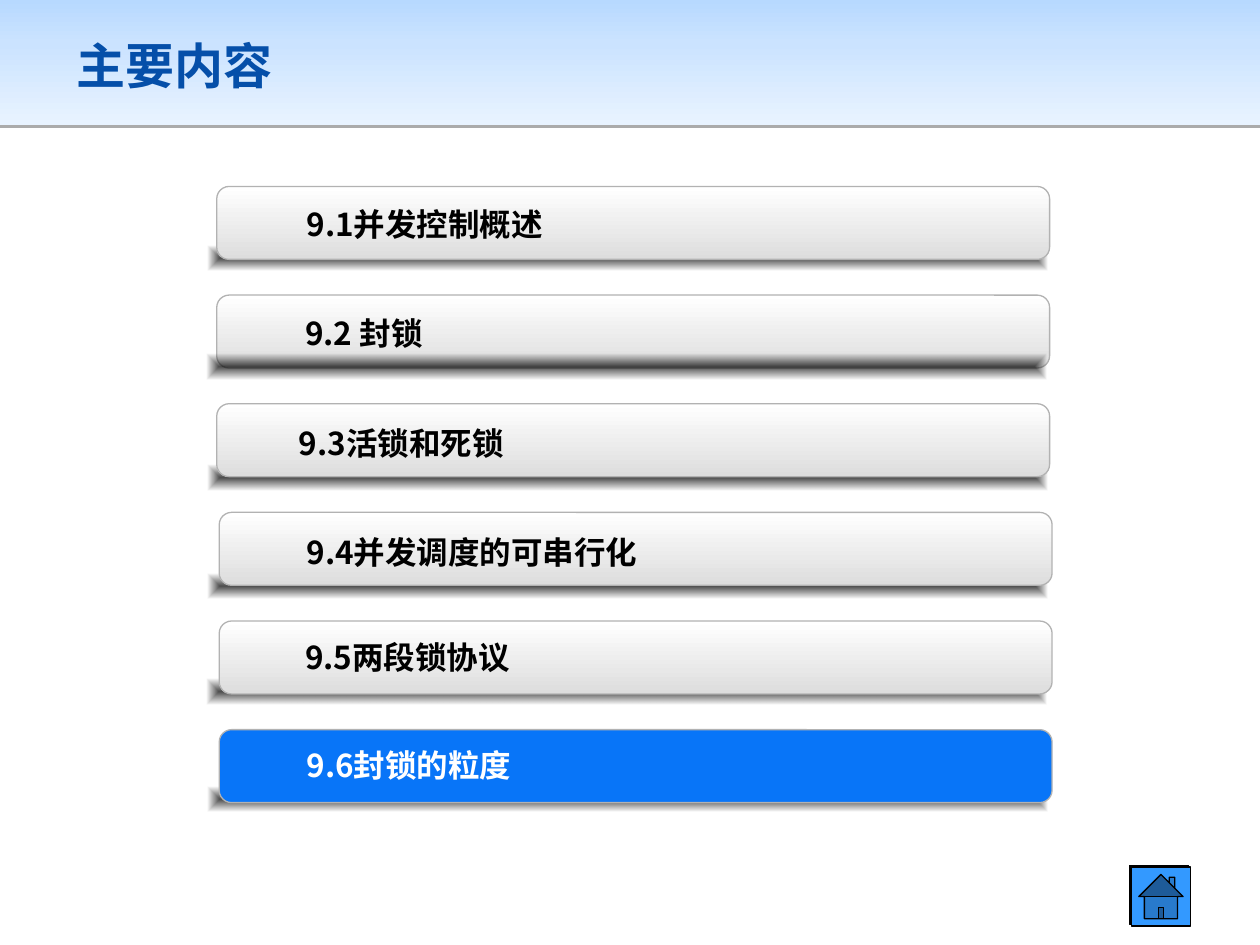
from dataclasses import dataclass

from lxml import etree
from pptx import Presentation
from pptx import util as u
from pptx.dml.color import RGBColor
from pptx.enum import shapes, text
from pptx.oxml import ns


@dataclass(frozen=True)
class Theme:
    latin: str = "Arial"
    chinese: str = "Noto Sans CJK SC"
    title_size: int = 28
    item_size: int = 18
    title: str = "054FA9"
    item: str = "000000"
    active_item: str = "FFFFFF"
    active_bar: str = "0875F8"
    border: str = "B2B2B2"
    button: str = "3399FF"
    black: str = "000000"
    # Gradient stops: position, colour, opacity in percent
    header: tuple = ((0, "B7D9FF", 100), (35, "CBE3FF", 100), (100, "E8F3FF", 100))
    bar: tuple = ((0, "FFFFFF", 100), (100, "DDDDDD", 100))
    glow: tuple = ((0, "000000", 70), (100, "000000", 0))


THEME = Theme()
SHAPE = shapes.MSO_SHAPE
FIRST_TOP, PITCH, BAR_HEIGHT = 3.76, 2.19, 1.47

# Label, bar left, shadow left, shadow offset, label left, label offset, left inset
ITEMS = (
    ("9.1并发控制概述", 4.37, 4.19, 1.19, 4.5, 0.02, 0.41),
    ("9.2 封锁", 4.37, 4.17, 1.19, 4.47, 0.02, 0.41),
    ("9.3活锁和死锁", 4.37, 4.19, 1.23, 4.5, 0.06, 0.25),
    ("9.4并发调度的可串行化", 4.42, 4.19, 1.23, 4.5, 0.06, 0.41),
    ("9.5两段锁协议", 4.42, 4.17, 1.17, 4.47, -0.02, 0.41),
    ("9.6封锁的粒度", 4.42, 4.19, 1.14, 4.5, -0.03, 0.41),
)
SHADOW_ABOVE = 1
ACTIVE = 5


def set_values(target, values):
    for name, value in values.items():
        setattr(target, name, value)


def add_node(parent, tag, **attributes):
    values = {name: str(value) for name, value in attributes.items()}
    return etree.SubElement(parent, ns.qn(tag), values)


def add_color(parent, color, opacity):
    node = add_node(parent, "a:srgbClr", val=color)
    if opacity < 100:
        add_node(node, "a:alpha", val=opacity * 1000)


def fill_gradient(shape, stops, centred=False):
    shape.fill.background()
    empty_fill = shape._element.spPr.find(ns.qn("a:noFill"))
    gradient = etree.Element(ns.qn("a:gradFill"), rotWithShape="1")
    stop_list = add_node(gradient, "a:gsLst")
    for position, color, opacity in stops:
        add_color(add_node(stop_list, "a:gs", pos=position * 1000), color, opacity)
    if centred:
        path_node = add_node(gradient, "a:path", path="shape")
        add_node(path_node, "a:fillToRect", l=50000, t=50000, r=50000, b=50000)
    else:
        add_node(gradient, "a:lin", ang=5400000, scaled=0)
    empty_fill.getparent().replace(empty_fill, gradient)


def add_panel(slide, kind, box, fill, line=None, centred=False):
    shape = slide.shapes.add_shape(kind, *map(u.Cm, box))
    shape.shadow.inherit = False
    if isinstance(fill, str):
        shape.fill.solid()
        shape.fill.fore_color.rgb = RGBColor.from_string(fill)
    else:
        fill_gradient(shape, fill, centred)
    if line:
        shape.line.color.rgb = RGBColor.from_string(line)
        shape.line.width = u.Pt(0.75)
    else:
        shape.line.fill.background()
    return shape


def add_shadow(shape, distance, angle, opacity):
    effects = shape._element.spPr.find(ns.qn("a:effectLst"))
    shadow = add_node(effects, "a:outerShdw", blurRad=0, dist=u.Pt(distance),
                      dir=angle * 60000, algn="ctr", rotWithShape=0)
    add_color(shadow, THEME.black, opacity)


def add_label(slide, box, words, size, color, font, inset=0.25, indent=0):
    shape = slide.shapes.add_textbox(*map(u.Cm, box))
    set_values(shape.text_frame, {
        "word_wrap": True,
        "vertical_anchor": text.MSO_ANCHOR.MIDDLE,
        "margin_left": u.Cm(inset),
    })
    paragraph = shape.text_frame.paragraphs[0]
    paragraph._p.get_or_add_pPr().set("marL", str(u.Cm(indent)))
    run = paragraph.add_run()
    run.text = words
    set_values(run.font, {"name": font, "size": u.Pt(size), "bold": True})
    run.font.color.rgb = RGBColor.from_string(color)
    add_node(run._r.get_or_add_rPr(), "a:ea", typeface=THEME.chinese)


def add_item(slide, index, item):
    words, bar_left, shadow_left, shadow_shift, label_left, label_shift, inset = item
    top = FIRST_TOP + index * PITCH
    active = index == ACTIVE

    def add_bar():
        bar = add_panel(slide, SHAPE.ROUNDED_RECTANGLE,
                        (bar_left, top, 16.79, BAR_HEIGHT),
                        THEME.active_bar if active else THEME.bar, THEME.border)
        bar.adjustments[0] = 0.17

    def add_glow():
        add_panel(slide, SHAPE.RECTANGLE,
                  (shadow_left, top + shadow_shift, 16.92, 0.51),
                  THEME.glow, centred=True)

    layers = (add_bar, add_glow) if index == SHADOW_ABOVE else (add_glow, add_bar)
    for add_layer in layers:
        add_layer()
    add_label(slide, (label_left, top + label_shift, 15.01, BAR_HEIGHT), words,
              THEME.item_size, THEME.active_item if active else THEME.item,
              THEME.chinese, inset, indent=1.27)


def main():
    presentation = Presentation()
    set_values(presentation, {"slide_width": u.Cm(25.4), "slide_height": u.Cm(19.05)})
    slide = presentation.slides.add_slide(presentation.slide_layouts[6])

    # Header band and title
    header = add_panel(slide, SHAPE.RECTANGLE, (0, 0, 25.4, 2.52), THEME.header)
    add_shadow(header, 1.6, 90, 33)
    add_label(slide, (1.3, 0.41, 22.81, 1.8), "主要内容",
              THEME.title_size, THEME.title, THEME.latin)

    # Chapter sections
    for index, item in enumerate(ITEMS):
        add_item(slide, index, item)

    # Home button
    button = add_panel(slide, SHAPE.ACTION_BUTTON_HOME, (22.81, 17.48, 1.19, 1.19),
                       THEME.button, THEME.black)
    add_shadow(button, 1.4, 225, 100)

    presentation.save("out.pptx")


if __name__ == "__main__":
    main()
